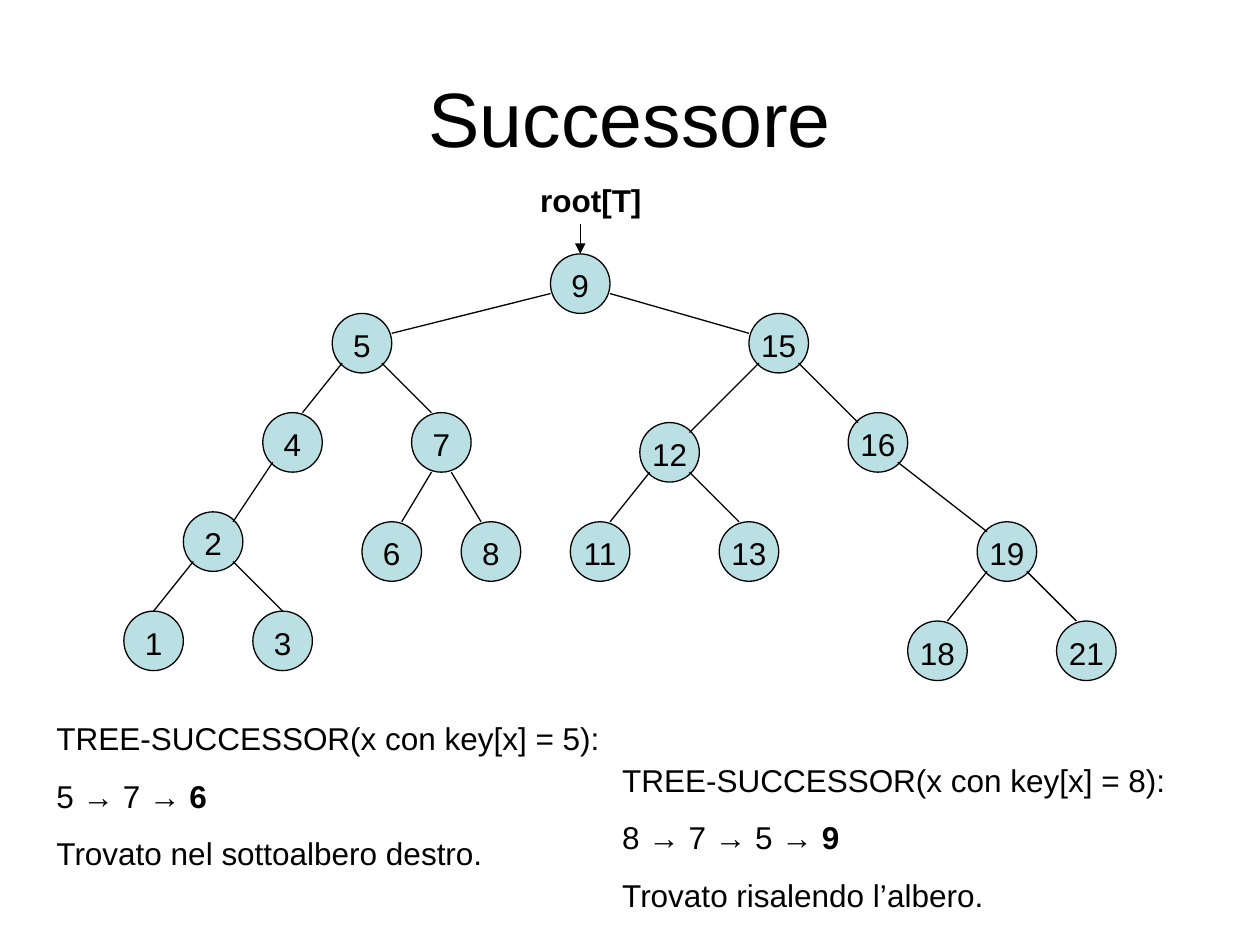
from dataclasses import dataclass

from lxml import etree
from pptx import Presentation
from pptx import util as u
from pptx.dml.color import RGBColor
from pptx.enum import shapes, text
from pptx.oxml.ns import qn

Pt = u.Pt


@dataclass(frozen=True)
class Theme:
    font: str = "Arial"
    ink: RGBColor = RGBColor(0x00, 0x00, 0x00)
    node_fill: RGBColor = RGBColor(0xBB, 0xE0, 0xE3)
    title_size: float = 44
    text_size: float = 18
    line_width: float = 0.75
    space_before: float = 11.2


# The tree lies on a 2 mm grid, counted from the top left corner of the root.
STEP = 5.67
ROOT_LEFT, ROOT_TOP = 314.6, 145.1
NODE = 6  # node diameter in grid steps

# Ends of an edge to a left child: offset in the parent, offset in the child.
# An edge to a right child is the mirror image.
PLAIN = (1, 5), (4, 0)
FLAT = (0, 4), (6, 2)
STEEP = (2, 6), (4, 0)
INWARD = (1, 5), (5, 1)
CENTRED = (1, 5), (3, 0)

ROOT_KEY = 9
PLACES = {
    9: (0, 0),
    5: (-22, 6), 15: (20, 6),
    4: (-29, 16), 7: (-14, 16), 12: (9, 17), 16: (30, 16),
    2: (-37, 26), 6: (-19, 27), 8: (-9, 27), 11: (2, 27), 13: (17, 27), 19: (43, 27),
    1: (-43, 36), 3: (-30, 36), 18: (36, 37), 21: (51, 37),
}
EDGES = [
    (9, 5, FLAT), (9, 15, FLAT),
    (5, 4, PLAIN), (5, 7, PLAIN), (15, 12, INWARD), (15, 16, INWARD),
    (4, 2, INWARD), (7, 6, STEEP), (7, 8, STEEP),
    (12, 11, PLAIN), (12, 13, PLAIN), (16, 19, INWARD),
    (2, 1, CENTRED), (2, 3, CENTRED), (19, 18, PLAIN), (19, 21, PLAIN),
]

# Each example: box, key searched, path walked, successor, remark.
EXAMPLES = [
    ((25.2, 411.8, 329, 90.7), 5, "5 → 7 → ", "6", "Trovato nel sottoalbero destro."),
    ((348.5, 435.6, 340.6, 90.7), 8, "8 → 7 → 5 → ", "9", "Trovato risalendo l’albero."),
]


def apply(target, **values):
    for name, value in values.items():
        setattr(target, name, value)


def grid_point(key, offset=(0, 0)):
    """Position in points of an offset, in grid steps, within a node."""
    column, row = PLACES[key]
    return ROOT_LEFT + (column + offset[0]) * STEP, ROOT_TOP + (row + offset[1]) * STEP


class SlideBuilder:
    def __init__(self, slide, theme):
        self.slide, self.theme = slide, theme

    def fill_paragraph(self, paragraph, pieces, size, **spacing):
        """Fill a paragraph with (wording, bold) pieces."""
        apply(paragraph, **spacing)
        for wording, bold in pieces:
            run = paragraph.add_run()
            run.text = wording
            apply(run.font, name=self.theme.font, size=Pt(size), bold=bold)
            run.font.color.rgb = self.theme.ink

    def title(self, wording, box):
        heading = self.slide.shapes.title
        apply(heading, **dict(zip(("left", "top", "width", "height"), map(Pt, box))))
        heading.text_frame.vertical_anchor = text.MSO_ANCHOR.MIDDLE
        self.fill_paragraph(heading.text_frame.paragraphs[0], [(wording, False)],
                            self.theme.title_size, alignment=text.PP_ALIGN.CENTER)

    def node(self, key):
        side = Pt(NODE * STEP)
        circle = self.slide.shapes.add_shape(
            shapes.MSO_SHAPE.OVAL, *map(Pt, grid_point(key)), side, side)
        circle.shadow.inherit = False
        circle.fill.solid()
        circle.fill.fore_color.rgb = self.theme.node_fill
        self.outline(circle)
        apply(circle.text_frame, margin_left=0, margin_right=0, margin_top=Pt(2),
              margin_bottom=0, word_wrap=False, vertical_anchor=text.MSO_ANCHOR.MIDDLE)
        self.fill_paragraph(circle.text_frame.paragraphs[0], [(str(key), False)],
                            self.theme.text_size, alignment=text.PP_ALIGN.CENTER)
        return circle

    def outline(self, shape):
        shape.line.color.rgb = self.theme.ink
        shape.line.width = Pt(self.theme.line_width)

    def line(self, start, end):
        connector = self.slide.shapes.add_connector(
            shapes.MSO_CONNECTOR.STRAIGHT, *map(Pt, (*start, *end)))
        self.outline(connector)
        etree.SubElement(connector._element.spPr, qn("a:effectLst"))
        return connector

    def edge(self, parent, child, ends):
        leave, arrive = ends
        if PLACES[child][0] > PLACES[parent][0]:
            leave, arrive = ((NODE - x, y) for x, y in ends)
        self.line(grid_point(parent, leave), grid_point(child, arrive))

    def pointer(self, start, node):
        """Arrow from a point to the top of a node."""
        arrow = self.line(start, start)
        arrow.end_connect(node, 0)
        outline = arrow._element.spPr.find(qn("a:ln"))
        etree.SubElement(outline, qn("a:tailEnd"), type="triangle")

    def text_box(self, box, paragraphs):
        """Add a box of (pieces, spacing) paragraphs."""
        frame = self.slide.shapes.add_textbox(*map(Pt, box)).text_frame
        apply(frame, word_wrap=True, auto_size=text.MSO_AUTO_SIZE.SHAPE_TO_FIT_TEXT)
        for index, (pieces, spacing) in enumerate(paragraphs):
            paragraph = frame.add_paragraph() if index else frame.paragraphs[0]
            self.fill_paragraph(paragraph, pieces, self.theme.text_size, **spacing)


def main():
    deck = Presentation()
    apply(deck, slide_width=Pt(720), slide_height=Pt(540))
    theme = Theme()
    builder = SlideBuilder(deck.slides.add_slide(deck.slide_layouts[5]), theme)
    after_gap = {"space_before": Pt(theme.space_before)}
    tight = {"line_spacing": 0.8, "space_before": Pt(4.5)}

    builder.title("Successore", (36, 21.6, 648, 90))
    nodes = {key: builder.node(key) for key in PLACES}
    for parent, child, ends in EDGES:
        builder.edge(parent, child, ends)

    builder.text_box((292.3, 100.1, 90.7, 28.8),
                     [([("root[T]", True)],
                       {"alignment": text.PP_ALIGN.CENTER, **after_gap})])
    builder.pointer(grid_point(ROOT_KEY, (NODE / 2, -3)), nodes[ROOT_KEY])

    for box, key, walked, successor, remark in EXAMPLES:
        builder.text_box(box, [
            ([(f"TREE-SUCCESSOR(x con key[x] = {key}):", False)], tight),
            ([(walked, False), (successor, True)], after_gap),
            ([(remark, False)], after_gap),
        ])
    deck.save("out.pptx")


if __name__ == "__main__":
    main()
